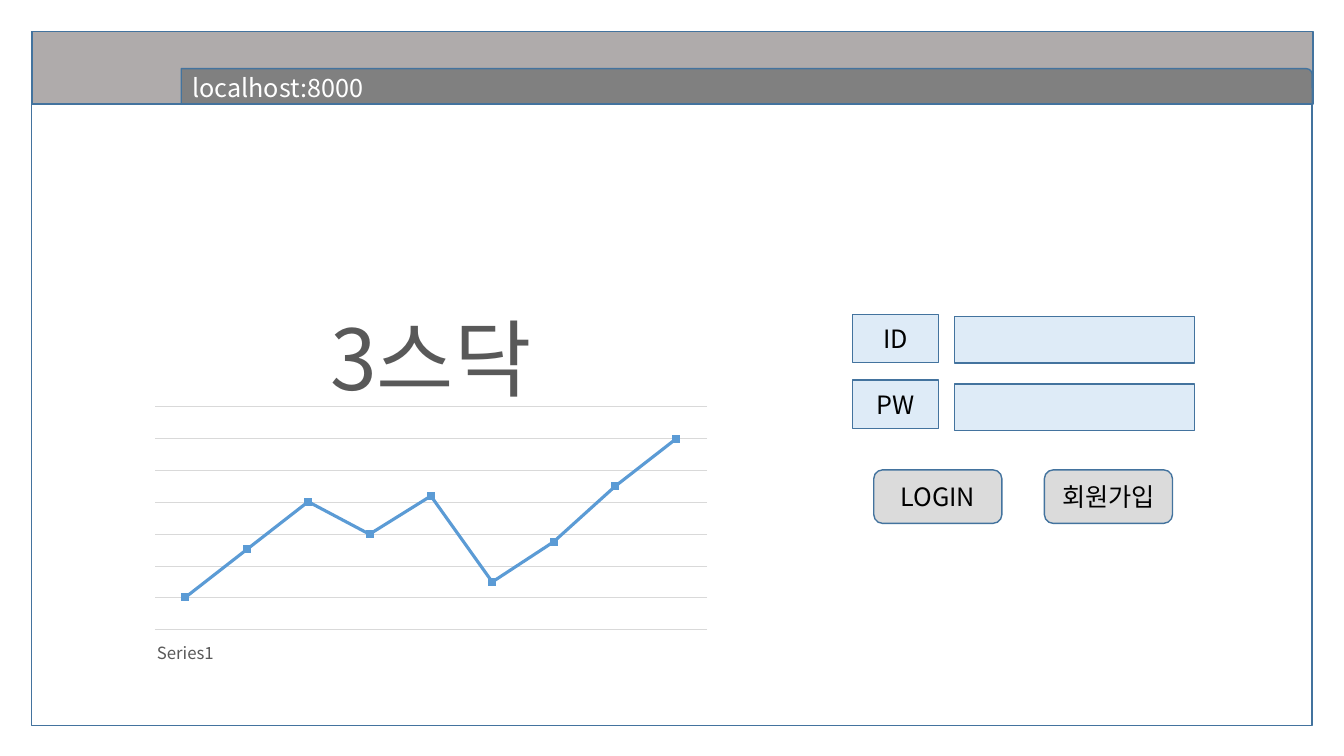
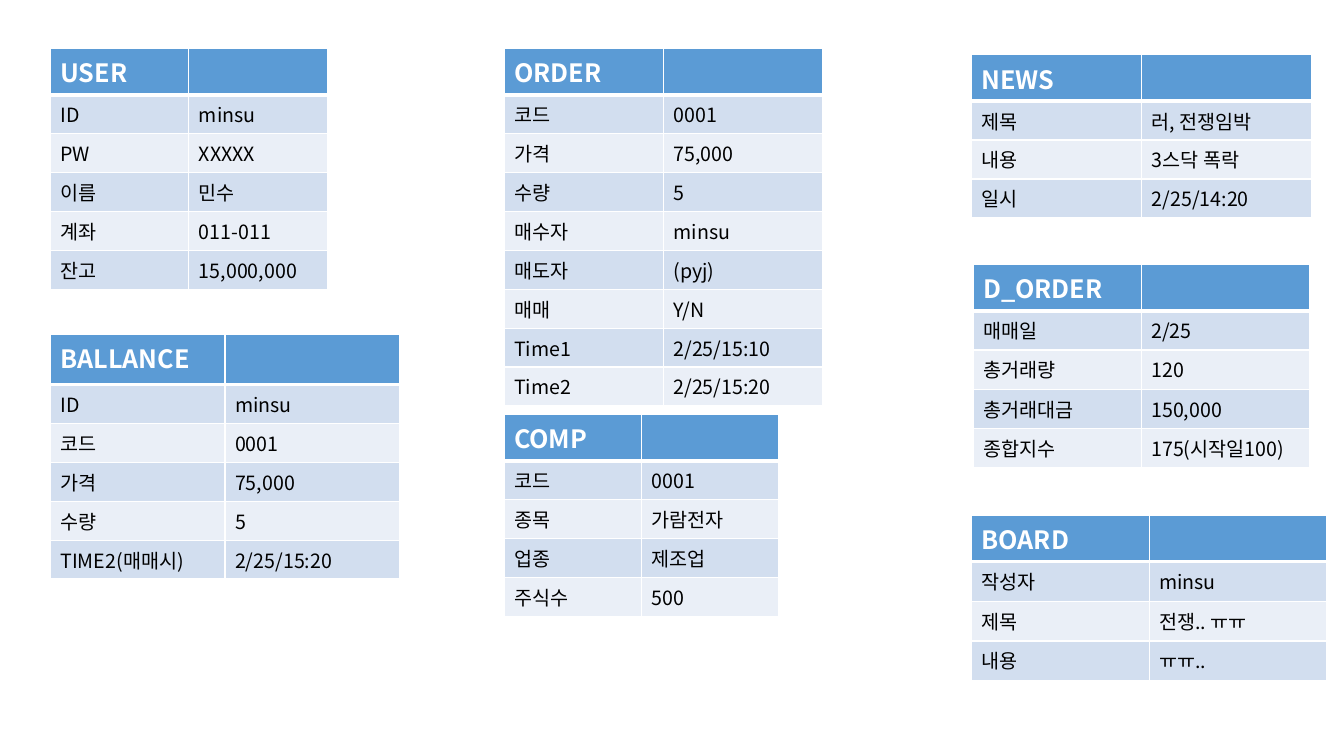
from collections import namedtuple
from dataclasses import dataclass

from lxml.etree import SubElement
from pptx import Presentation
from pptx.chart.data import CategoryChartData
from pptx.dml.color import RGBColor
from pptx.enum.chart import XL_CHART_TYPE as CHART, XL_TICK_LABEL_POSITION as LABELS, XL_TICK_MARK as TICK
from pptx.enum.shapes import MSO_SHAPE as SHAPE
from pptx.enum.text import MSO_ANCHOR as ANCHOR, MSO_AUTO_SIZE as AUTOSIZE, PP_ALIGN as ALIGN
from pptx.oxml import parse_xml
from pptx.oxml.ns import nsdecls, qn
from pptx.util import Cm, Pt

Box = namedtuple("Box", "x y w h")
TableSpec = namedtuple("TableSpec", "x y w head row name rows")


@dataclass(frozen=True)
class Theme:
    """Colours, type sizes and line widths of the deck."""
    font: str = "Noto Sans CJK KR"
    white: str = "FFFFFF"
    black: str = "000000"
    grey_text: str = "595959"
    outline: str = "43739E"
    accent: str = "5B9BD5"
    window_bar: str = "AFABAB"
    address_bar: str = "808080"
    field: str = "DEEBF7"
    button: str = "DBDBDB"
    grid: str = "D9D9D9"
    bands: tuple = ("D2DEEF", "EAEFF7")
    hero: int = 60
    head: int = 18
    body: int = 14
    axis: int = 12
    hairline: float = 0.75
    border: float = 1
    head_border: float = 3
    trend: float = 2.25


T = Theme()

TABLES = [
    TableSpec(12.7, 1.22, 8.04, 1.17, 0.98, "ORDER", [
        ("코드", "0001"), ("가격", "75,000"), ("수량", "5"), ("매수자", "minsu"),
        ("매도자", "(pyj)"), ("매매", "Y/N"), ("Time1", "2/25/15:10"), ("Time2", "2/25/15:20")]),
    TableSpec(12.7, 10.44, 6.92, 1.17, 0.98, "COMP", [
        ("코드", "0001"), ("종목", "가람전자"), ("업종", "제조업"), ("주식수", "500")]),
    TableSpec(1.27, 1.22, 6.98, 1.17, 0.98, "USER", [
        ("ID", "minsu"), ("PW", "XXXXX"), ("이름", "민수"), ("계좌", "011-011"),
        ("잔고", "15,000,000")]),
    TableSpec(1.27, 8.42, 8.8, 1.27, 0.98, "BALLANCE", [
        ("ID", "minsu"), ("코드", "0001"), ("가격", "75,000"), ("수량", "5"),
        ("TIME2(매매시)", "2/25/15:20")]),
    TableSpec(24.52, 6.66, 8.48, 1.17, 0.99, "D_ORDER", [
        ("매매일", "2/25"), ("총거래량", "120"), ("총거래대금", "150,000"),
        ("종합지수", "175(시작일100)")]),
    TableSpec(24.48, 1.38, 8.58, 1.17, 0.98, "NEWS", [
        ("제목", "러, 전쟁임박"), ("내용", "3스닥 폭락"), ("일시", "2/25/14:20")]),
    TableSpec(24.48, 12.98, 8.96, 1.17, 1, "BOARD", [
        ("작성자", "minsu"), ("제목", "전쟁.. ㅠㅠ"), ("내용", "ㅠㅠ..")]),
]


def rgb(color):
    """Turn a hex string into a colour."""
    return RGBColor.from_string(color)


def place(box):
    """Turn a box in centimetres into lengths."""
    return [Cm(v) for v in box]


def set_attrs(target, **values):
    """Set each named attribute on the target."""
    for name, value in values.items():
        setattr(target, name, value)


def style_font(font, size, color, bold=False):
    """Give a font the deck's face, with a size and a colour."""
    set_attrs(font, name=T.font, size=Pt(size), bold=bold)
    font.color.rgb = rgb(color)


def style_line(line, color, width):
    """Give a line its colour and width."""
    line.color.rgb = rgb(color)
    line.width = Pt(width)


def write(tf, text, size, color, bold=False, align=None):
    """Write one run into a text frame."""
    p = tf.paragraphs[0]
    if align is not None:
        p.alignment = align
    r = p.add_run()
    r.text = text
    style_font(r.font, size, color, bold)
    SubElement(r.font._element, qn("a:ea"), typeface=T.font)


def add_panel(shapes, kind, box, fill, text=""):
    """Add an outlined panel with optional centred text."""
    sp = shapes.add_shape(kind, *place(box))
    sp.shadow.inherit = False
    sp.fill.solid()
    sp.fill.fore_color.rgb = rgb(fill)
    style_line(sp.line, T.outline, T.border)
    if text:
        sp.text_frame.vertical_anchor = ANCHOR.MIDDLE
        write(sp.text_frame, text, T.head, T.black, align=ALIGN.CENTER)


def add_browser(s, box, address):
    """Draw the browser window with its address bar."""
    x, y, w, h = box
    shapes = s.shapes.add_group_shape().shapes
    add_panel(shapes, SHAPE.RECTANGLE, box, T.white)
    add_panel(shapes, SHAPE.RECTANGLE, Box(x + 0.02, y, w, 1.83), T.window_bar)
    add_panel(shapes, SHAPE.ROUND_1_RECTANGLE, Box(x + 3.78, y + 0.94, w - 3.78, 0.89), T.address_bar)
    tf = shapes.add_textbox(*place(Box(x + 3.81, y + 0.91, 4.88, 1.02))).text_frame
    set_attrs(tf, word_wrap=False, auto_size=AUTOSIZE.SHAPE_TO_FIT_TEXT)
    write(tf, address, T.head, T.white)


def add_trend_chart(s, box, title, values):
    """Add the line chart with its large title."""
    data = CategoryChartData()
    data.categories = ["Series1"] + [""] * (len(values) - 1)
    data.add_series("Series 1", values)
    chart = s.shapes.add_chart(CHART.LINE, *place(box), data).chart
    style_font(chart.font, T.axis, T.grey_text)
    set_attrs(chart, has_legend=False, has_title=True)
    write(chart.chart_title.text_frame, title, T.hero, T.grey_text)
    chart.chart_title.include_in_layout = False

    plot = chart.plots[0]
    plot.vary_by_categories = False
    series = plot.series[0]
    series.smooth = False
    series.marker.style = None
    style_line(series.format.line, T.accent, T.trend)

    cat, val = chart.category_axis, chart.value_axis
    set_attrs(cat, major_tick_mark=TICK.NONE, minor_tick_mark=TICK.NONE,
              tick_label_position=LABELS.LOW)
    style_font(cat.tick_labels.font, T.axis, T.grey_text)
    style_line(cat.format.line, T.grid, T.hairline)
    set_attrs(val, minimum_scale=0, maximum_scale=116.69, major_unit=16.67,
              has_major_gridlines=True, visible=False)
    style_line(val.major_gridlines.format.line, T.grid, T.hairline)
    set_plot_layout(chart, Box(0.02, 0.37, 0.96, 0.54))


def set_plot_layout(chart, share):
    """Fix the inner plot area as shares of the chart."""
    area = chart._chartSpace.chart.plotArea
    for old in area.findall(qn("c:layout")):
        area.remove(old)
    parts = "".join(f'<c:{k} val="{v}"/>' for k, v in share._asdict().items())
    area.insert(0, parse_xml(
        f'<c:layout {nsdecls("c")}><c:manualLayout><c:layoutTarget val="inner"/>'
        f'<c:xMode val="edge"/><c:yMode val="edge"/>{parts}</c:manualLayout></c:layout>'))


def add_login(s, x, y):
    """Add the login form: labels, fields and buttons."""
    for i in range(2):
        add_panel(s.shapes, SHAPE.RECTANGLE, Box(x + 2.56, y + 0.06 + 1.7 * i, 6.05, 1.17), T.field)
    for i, label in enumerate(("ID", "PW")):
        add_panel(s.shapes, SHAPE.RECTANGLE, Box(x, y + 1.66 * i, 2.16, 1.22), T.field, label)
    for i, label in enumerate(("LOGIN", "회원가입")):
        add_panel(s.shapes, SHAPE.ROUNDED_RECTANGLE, Box(x + 0.53 + 4.3 * i, y + 3.92, 3.23, 1.35),
                  T.button, label)


def style_cell(cell, fill, borders):
    """Set the borders and fill of a cell."""
    tc_pr = cell._tc.get_or_add_tcPr()
    for side, width in borders.items():
        ln = SubElement(tc_pr, qn(f"a:ln{side}"), w=str(Pt(width)))
        SubElement(SubElement(ln, qn("a:solidFill")), qn("a:srgbClr"), val=T.white)
    cell.fill.solid()
    cell.fill.fore_color.rgb = rgb(fill)


def add_record_table(s, spec):
    """Add a two-column table with a header and banded rows."""
    rows = [(spec.name, "")] + spec.rows
    height = spec.head + spec.row * len(spec.rows)
    table = s.shapes.add_table(len(rows), 2, *place(Box(spec.x, spec.y, spec.w, height))).table
    for i, values in enumerate(rows):
        head = i == 0
        table.rows[i].height = Cm(spec.head if head else spec.row)
        fill = T.accent if head else T.bands[(i - 1) % 2]
        borders = dict.fromkeys("LRTB" if head else "LRB", T.border)
        if head:
            borders["B"] = T.head_border
        for j, value in enumerate(values):
            cell = table.cell(i, j)
            style_cell(cell, fill, borders)
            if value:
                write(cell.text_frame, value, T.head if head else T.body,
                      T.white if head else T.black, bold=head)


def build_login_slide(prs):
    """Build the login page mock-up."""
    s = prs.slides.add_slide(prs.slide_layouts[6])
    add_browser(s, Box(0.79, 0.79, 32.28, 17.5), "localhost:8000/")
    add_trend_chart(s, Box(3.61, 6.4, 14.5, 10.41), "3스닥",
                    (17, 42, 67, 50, 70, 25, 46, 75, 100))
    add_login(s, 21.49, 7.92)


def build_tables_slide(prs):
    """Build the overview of data tables."""
    s = prs.slides.add_slide(prs.slide_layouts[6])
    for spec in TABLES:
        add_record_table(s, spec)


def main():
    """Build and save the deck."""
    prs = Presentation()
    set_attrs(prs, slide_width=Cm(33.87), slide_height=Cm(19.05))
    build_login_slide(prs)
    build_tables_slide(prs)
    prs.save("out.pptx")


if __name__ == "__main__":
    main()
